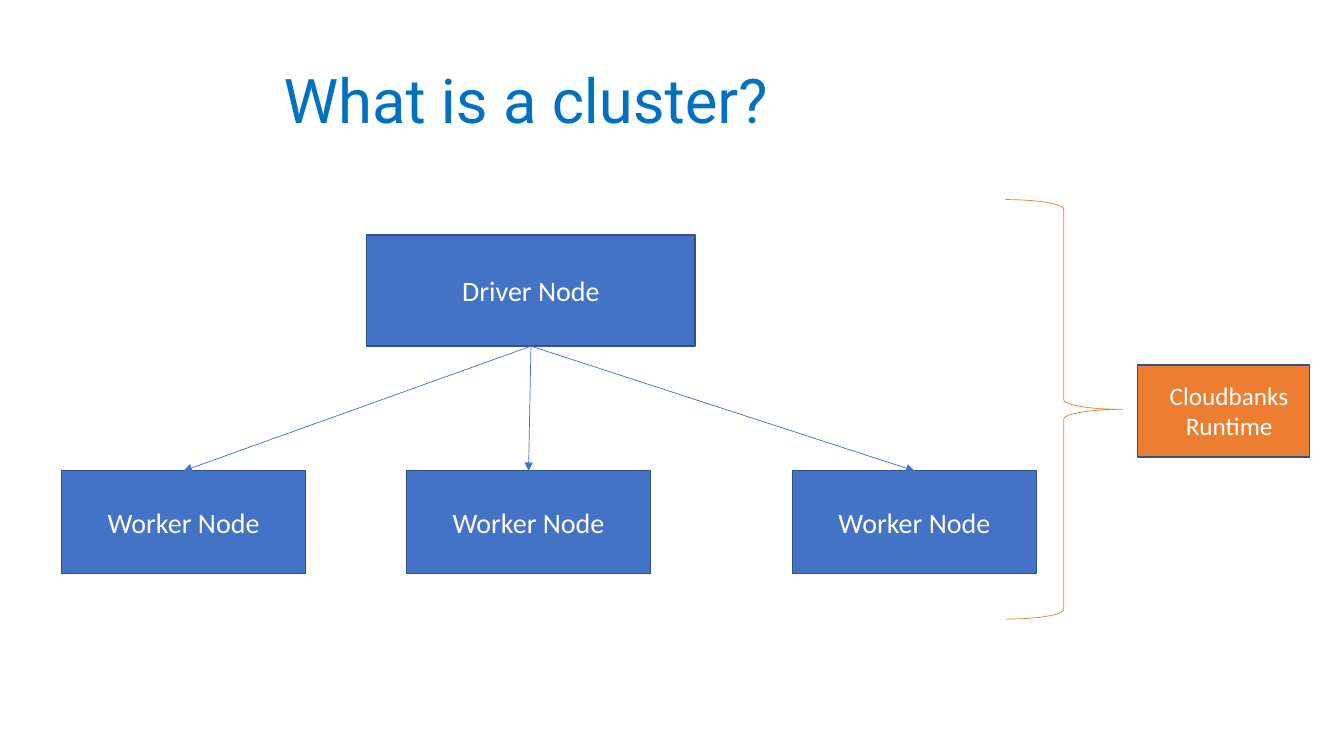
from dataclasses import dataclass
from typing import NamedTuple

from lxml.etree import SubElement
from pptx import Presentation
from pptx.dml.color import RGBColor
from pptx.enum.shapes import MSO_CONNECTOR, MSO_SHAPE
from pptx.enum.text import MSO_ANCHOR, MSO_AUTO_SIZE, PP_ALIGN
from pptx.oxml.ns import qn
from pptx.util import Inches, Pt


@dataclass(frozen=True)
class Theme:
    title: RGBColor = RGBColor.from_string("0070C0")
    node: RGBColor = RGBColor.from_string("4472C4")
    edge: RGBColor = RGBColor.from_string("2F528F")
    accent: RGBColor = RGBColor.from_string("ED7D31")
    text: RGBColor = RGBColor.from_string("FFFFFF")
    title_font: str = "Roboto"
    body_font: str = "Calibri"
    title_size: Pt = Pt(44)
    node_size: Pt = Pt(20)
    runtime_size: Pt = Pt(18)
    runtime_spacing: Pt = Pt(21.1)
    thin: Pt = Pt(0.5)
    border: Pt = Pt(1)


THEME = Theme()


class Box(NamedTuple):
    x: int
    y: int
    w: int
    h: int

    def inner(self, x, y, w, h):
        """Return the inner box given in percent of this one."""
        return Box(int(self.x + self.w * x / 100), int(self.y + self.h * y / 100),
                   int(self.w * w / 100), int(self.h * h / 100))


def clear_insets(tf):
    tf.margin_left = tf.margin_top = tf.margin_right = tf.margin_bottom = 0
    tf.word_wrap = True
    tf.auto_size = MSO_AUTO_SIZE.NONE


def add_run(p, text, font, size, color):
    r = p.add_run()
    r.text = text
    r.font.name, r.font.size = font, size
    r.font.color.rgb = color


def add_block(slide, box, text, fill, size):
    """Add a bordered rectangle with a centred label."""
    sp = slide.shapes.add_shape(MSO_SHAPE.RECTANGLE, *box)
    sp.shadow.inherit = False
    sp.fill.solid()
    sp.fill.fore_color.rgb = fill
    sp.line.color.rgb = THEME.edge
    sp.line.width = THEME.border
    tf = sp.text_frame
    clear_insets(tf)
    tf.vertical_anchor = MSO_ANCHOR.MIDDLE
    p = tf.paragraphs[0]
    p.alignment = PP_ALIGN.CENTER
    add_run(p, text, THEME.body_font, size, THEME.text)
    return sp


def add_arrow(slide, source, target):
    """Join the bottom of source to the top of target."""
    cx = slide.shapes.add_connector(MSO_CONNECTOR.STRAIGHT, 0, 0, 0, 0)
    cx.begin_connect(source, 2)
    cx.end_connect(target, 0)
    cx.line.color.rgb = THEME.node
    cx.line.width = THEME.thin
    spPr = cx._element.spPr
    SubElement(spPr.find(qn("a:ln")), qn("a:tailEnd"), type="triangle")
    SubElement(spPr, qn("a:effectLst"))


def fill_title(slide, box, text):
    sp = slide.shapes.title
    sp.left, sp.top, sp.width, sp.height = box
    tf = sp.text_frame
    clear_insets(tf)
    tf.vertical_anchor = MSO_ANCHOR.TOP
    p = tf.paragraphs[0]
    p.alignment = PP_ALIGN.LEFT
    add_run(p, text, THEME.title_font, THEME.title_size, THEME.title)


def draw_cluster(slide, box):
    driver = add_block(slide, box.inner(31.3, 0, 33.7, 32.8), "Driver Node",
                       THEME.node, THEME.node_size)
    for x in (0, 35.4, 75):
        worker = add_block(slide, box.inner(x, 69.6, 25, 30.4), "Worker Node",
                           THEME.node, THEME.node_size)
        add_arrow(slide, driver, worker)


def draw_runtime(slide, box):
    brace = slide.shapes.add_shape(MSO_SHAPE.RIGHT_BRACE, *box.inner(0, 0, 38.4, 100))
    brace.shadow.inherit = False
    brace.fill.background()
    brace.line.color.rgb = THEME.accent
    brace.line.width = THEME.thin

    label = add_block(slide, box.inner(43.4, 39.4, 56.6, 22), "Cloudbanks Runtime",
                      THEME.accent, THEME.runtime_size)
    p = label.text_frame.paragraphs[0]
    p.alignment = PP_ALIGN.LEFT
    p.line_spacing = THEME.runtime_spacing
    pPr = p._p.get_or_add_pPr()
    pPr.set("marL", str(Inches(0.48)))
    pPr.set("indent", str(Inches(-0.16)))


def main():
    prs = Presentation()
    prs.slide_width, prs.slide_height = Inches(13.33), Inches(7.5)
    slide = prs.slides.add_slide(prs.slide_layouts[5])
    page = Box(0, 0, prs.slide_width, prs.slide_height)
    fill_title(slide, page.inner(21.1, 8.2, 36.7, 10.1), "What is a cluster?")
    draw_cluster(slide, page.inner(4.6, 31.1, 72.5, 44.8))
    draw_runtime(slide, page.inner(74.8, 26.4, 22.65, 55.5))
    prs.save("out.pptx")


if __name__ == "__main__":
    main()
